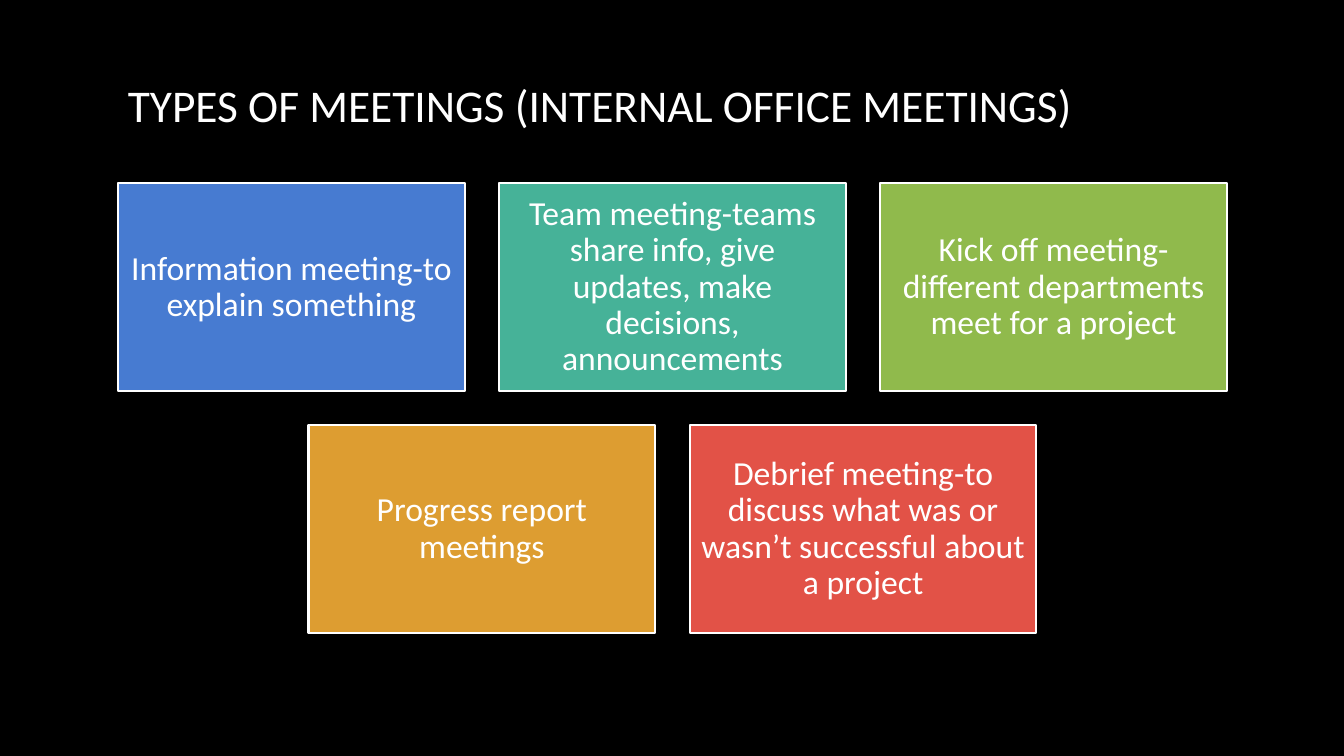
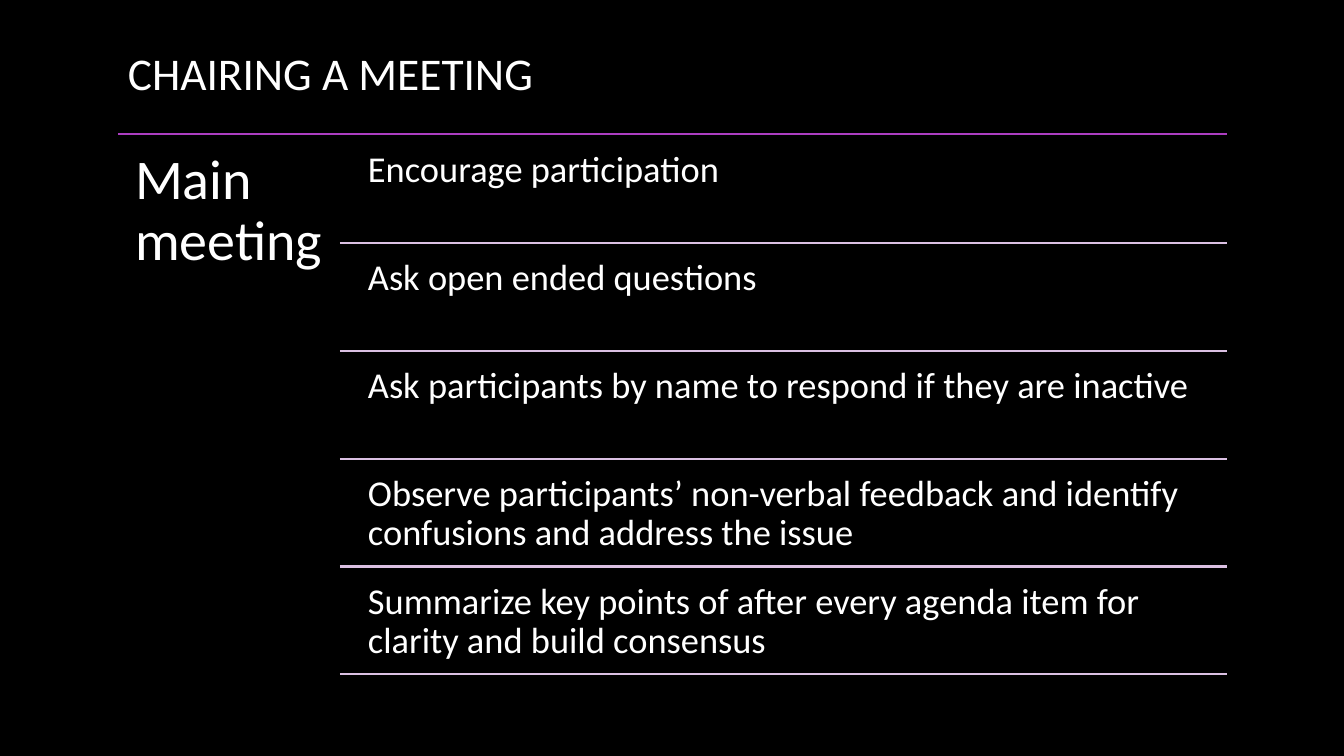
from dataclasses import dataclass

from lxml.etree import SubElement
from pptx import Presentation
from pptx.dml.color import RGBColor
from pptx.enum.shapes import MSO_CONNECTOR as Link, MSO_SHAPE as Form
from pptx.enum.text import MSO_ANCHOR as Anchor, PP_ALIGN as Align
from pptx.oxml.ns import qn
from pptx.slide import Slide
from pptx.text.text import TextFrame
from pptx.util import Inches, Pt

# Shared look
FONT = "Calibri"
BLACK, WHITE = "000000", "FFFFFF"
PURPLE, LILAC = "AC3EC1", "DBC0E3"
LEFT, WIDTH = 1.17, 11
RIGHT = LEFT + WIDTH
STROKE = 1.5


@dataclass
class Box:
    left: float
    top: float
    width: float
    height: float

    def place(self) -> tuple:
        return tuple(map(Inches, (self.left, self.top, self.width, self.height)))


@dataclass
class Style:
    size: float
    inset: float
    anchor: Anchor = Anchor.TOP
    align: Align = Align.LEFT
    leading: float = 0.9


@dataclass
class Tile:
    text: str
    fill: str


TITLE = Style(32.4, 0.1, Anchor.MIDDLE, leading=1.0)
CARD = Style(24, 0.1, Anchor.MIDDLE, Align.CENTER)
TOPIC = Style(40, 0.17)
ITEM = Style(26, 0.11)


# Drawing helpers
def color(code: str) -> RGBColor:
    return RGBColor.from_string(code)


def write(frame: TextFrame, text: str, style: Style) -> None:
    frame.word_wrap = True
    frame.vertical_anchor = style.anchor
    frame.margin_left = frame.margin_right = Inches(style.inset)
    frame.margin_top = frame.margin_bottom = Inches(style.inset)
    para = frame.paragraphs[0]
    para.alignment = style.align
    para.line_spacing = style.leading
    run = para.add_run()
    run.text = text
    run.font.name = FONT
    run.font.size = Pt(style.size)
    run.font.color.rgb = color(WHITE)


def label(slide: Slide, box: Box, text: str, style: Style) -> None:
    write(slide.shapes.add_textbox(*box.place()).text_frame, text, style)


def card(slide: Slide, box: Box, tile: Tile) -> None:
    shape = slide.shapes.add_shape(Form.RECTANGLE, *box.place())
    shape.shadow.inherit = False
    shape.fill.solid()
    shape.fill.fore_color.rgb = color(tile.fill)
    shape.line.color.rgb = color(WHITE)
    shape.line.width = Pt(STROKE)
    write(shape.text_frame, tile.text, CARD)


def rule(slide: Slide, left: float, top: float, code: str) -> None:
    line = slide.shapes.add_connector(
        Link.STRAIGHT, Inches(left), Inches(top), Inches(RIGHT), Inches(top))
    line.line.color.rgb = color(code)
    line.line.width = Pt(STROKE)
    SubElement(line._element.spPr, qn("a:effectLst"))


def start(deck: Presentation, title: str, top: float) -> Slide:
    slide = deck.slides.add_slide(deck.slide_layouts[6])
    label(slide, Box(LEFT, top, WIDTH, 0.6), title, TITLE)
    return slide


# Slide 1: centred rows of cards
def types(deck: Presentation) -> None:
    slide = start(deck, "TYPES OF MEETINGS (INTERNAL OFFICE MEETINGS)", 0.74)
    rows = [
        [Tile("Information meeting-to explain something", "477BD1"),
         Tile("Team meeting-teams share info, give updates, make decisions, "
              "announcements", "46B298"),
         Tile("Kick off meeting-different departments meet for a project",
              "90BA4C")],
        [Tile("Progress report meetings", "DD9D31"),
         Tile("Debrief meeting-to discuss what was or wasn’t successful "
              "about a project", "E25247")],
    ]
    wide, high, gap = 3.44, 2.06, 0.34
    for i, row in enumerate(rows):
        span = len(row) * (wide + gap) - gap
        left = LEFT + (WIDTH - span) / 2
        for j, tile in enumerate(row):
            box = Box(left + j * (wide + gap), 1.82 + i * (high + gap), wide, high)
            card(slide, box, tile)


# Slide 2: topic beside ruled items
def chairing(deck: Presentation) -> None:
    slide = start(deck, "CHAIRING A MEETING", 0.42)
    items = [
        "Encourage participation",
        "Ask open ended questions",
        "Ask participants by name to respond if they are inactive",
        "Observe participants’ non-verbal feedback and identify confusions "
        "and address the issue",
        "Summarize key points of after every agenda item for clarity and "
        "build consensus",
    ]
    top, side, pitch, pad = 1.33, 2.2, 1.07, 0.05
    rule(slide, LEFT, top, PURPLE)
    label(slide, Box(LEFT, top, side, 5.42), "Main meeting", TOPIC)
    for i, text in enumerate(items):
        y = top + 0.01 + i * pitch
        label(slide, Box(3.54, y + pad, 8.63, 1.02), text, ITEM)
        rule(slide, LEFT + side, y + pitch, LILAC)


def main() -> None:
    deck = Presentation()
    deck.slide_width, deck.slide_height = Inches(13.33), Inches(7.5)
    back = deck.slide_master.background.fill
    back.solid()
    back.fore_color.rgb = color(BLACK)
    types(deck)
    chairing(deck)
    deck.save("out.pptx")


if __name__ == "__main__":
    main()
